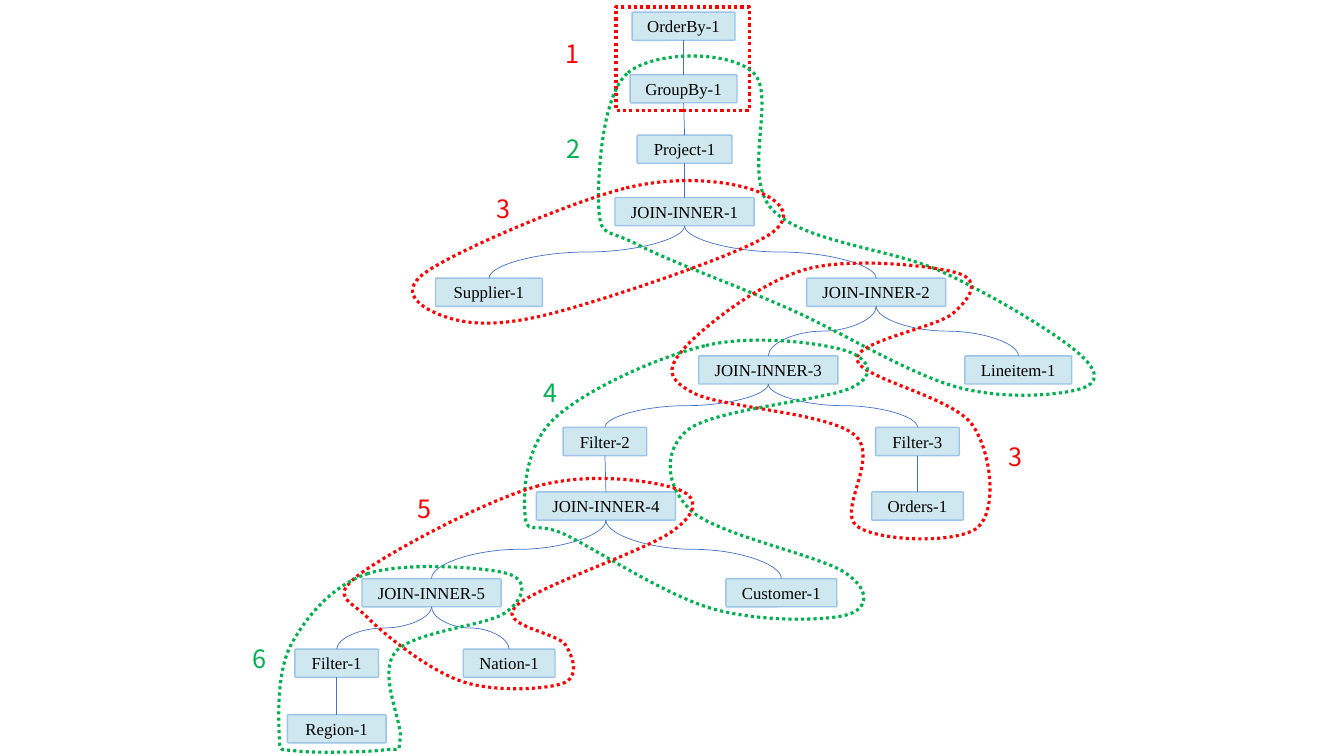
import lxml.etree
import pptx
import pptx.dml.color
import pptx.enum.dml
import pptx.enum.shapes
import pptx.enum.text
import pptx.oxml.ns
import pptx.util

COLORS = {"node": "CFE8EF", "border": "9DC3E6", "link": "4472C4",
          "red": "FF0000", "green": "00B050", "text": "000000"}
NODE_FONT, NUMBER_FONT = "Times New Roman", "Noto Sans CJK SC"

# All positions are columns and rows of a grid laid over the slide.
ROWS = 750
NODE_ROWS = 28

# top row of each tree level: centre column of its nodes
LEVELS = {
    12: {"OrderBy-1": 678},
    74: {"GroupBy-1": 678},
    134: {"Project-1": 679},
    196: {"JOIN-INNER-1": 679},
    276: {"Supplier-1": 485, "JOIN-INNER-2": 869},
    353: {"JOIN-INNER-3": 762, "Lineitem-1": 1010},
    424: {"Filter-2": 600, "Filter-3": 910},
    488: {"JOIN-INNER-4": 601, "Orders-1": 910},
    574: {"JOIN-INNER-5": 428, "Customer-1": 775},
    644: {"Filter-1": 334, "Nation-1": 505},
    709: {"Region-1": 334},
}

# columns wide, by operator or table
WIDTHS = {"JOIN": 138, "Filter": 83, "Project": 94, "OrderBy": 102, "Orders": 91,
          "Nation": 91, "Region": 98, "Customer": 110}
USUAL_WIDTH = 106

# parent: children; a single child hangs on a straight line
TREE = {
    "OrderBy-1": ["GroupBy-1"],
    "GroupBy-1": ["Project-1"],
    "Project-1": ["JOIN-INNER-1"],
    "JOIN-INNER-1": ["Supplier-1", "JOIN-INNER-2"],
    "JOIN-INNER-2": ["JOIN-INNER-3", "Lineitem-1"],
    "JOIN-INNER-3": ["Filter-2", "Filter-3"],
    "Filter-2": ["JOIN-INNER-4"],
    "Filter-3": ["Orders-1"],
    "JOIN-INNER-4": ["JOIN-INNER-5", "Customer-1"],
    "JOIN-INNER-5": ["Filter-1", "Nation-1"],
    "Filter-1": ["Region-1"],
}

SORT_STAGE = (611, 7, 132, 103)

# colour and the points that each smooth closed outline runs through
STAGE_OUTLINES = [
    ("green", [(622, 73), (594, 208), (633, 243), (784, 307), (949, 384),
               (1071, 386), (1068, 349), (935, 270), (766, 208), (747, 72)]),
    ("red", [(619, 187), (421, 271), (444, 315), (547, 311), (761, 234), (746, 188)]),
    ("red", [(800, 267), (680, 344), (688, 390), (847, 431), (850, 522),
             (970, 523), (964, 421), (850, 357), (945, 311), (950, 271)]),
    ("green", [(699, 343), (549, 416), (521, 513), (562, 531), (707, 604), (840, 610),
               (838, 568), (686, 507), (683, 426), (846, 384), (836, 347)]),
    ("red", [(534, 482), (355, 571), (365, 613), (458, 676), (558, 678),
             (561, 640), (511, 602), (667, 527), (671, 485)]),
    ("green", [(365, 569), (289, 639), (277, 730), (294, 745), (381, 744),
               (397, 732), (392, 647), (501, 608), (503, 569)]),
]

# number, colour, left column, top row
STAGE_NUMBERS = [
    ("1", "red", 551, 33), ("2", "green", 552, 127), ("3", "red", 483, 187),
    ("3", "red", 990, 433), ("4", "green", 529, 369), ("5", "red", 404, 484),
    ("6", "green", 241, 633),
]

presentation = pptx.Presentation()
presentation.slide_width = pptx.util.Inches(13.33)
presentation.slide_height = pptx.util.Inches(7.5)
slide = presentation.slides.add_slide(presentation.slide_layouts[6])
shapes = slide.shapes
CELL = presentation.slide_height // ROWS
qn = pptx.oxml.ns.qn


def grid(*cells):
    return [round(cell * CELL) for cell in cells]


def color(name):
    return pptx.dml.color.RGBColor.from_string(COLORS[name])


def style_line(line, name, points):
    line.color.rgb = color(name)
    line.width = pptx.util.Pt(points)


def style_stage(shape, name):
    shape.shadow.inherit = False
    shape.fill.background()
    style_line(shape.line, name, 2.25)
    shape.line.dash_style = pptx.enum.dml.MSO_LINE.ROUND_DOT


def add_run(paragraph, text, font_name, size, name):
    run = paragraph.add_run()
    run.text = text
    run.font.name = font_name
    run.font.size = pptx.util.Pt(size)
    run.font.color.rgb = color(name)


def add_node(label, center, top):
    width = WIDTHS.get(label.split("-")[0], USUAL_WIDTH)
    node = shapes.add_shape(pptx.enum.shapes.MSO_SHAPE.ROUNDED_RECTANGLE,
                            *grid(center - width / 2, top, width, NODE_ROWS))
    node.adjustments[0] = 0.04
    node.shadow.inherit = False
    node.fill.solid()
    node.fill.fore_color.rgb = color("node")
    style_line(node.line, "border", 1)
    frame = node.text_frame
    frame.margin_left = frame.margin_right = frame.margin_top = frame.margin_bottom = 0
    frame.vertical_anchor = pptx.enum.text.MSO_ANCHOR.MIDDLE
    frame.paragraphs[0].alignment = pptx.enum.text.PP_ALIGN.CENTER
    add_run(frame.paragraphs[0], label, NODE_FONT, 12, "text")
    return node


def add_link(parent, child, kind):
    link = shapes.add_connector(kind, 0, 0, 0, 0)
    link.begin_connect(parent, 2)
    link.end_connect(child, 0)
    style_line(link.line, "link", 0.5)
    lxml.etree.SubElement(link.element.spPr, qn("a:effectLst"))
    return link


def turn_downwards(link):
    """Rotate a curved link so that it leaves and arrives vertically."""
    across, down = link.end_x - link.begin_x, link.end_y - link.begin_y
    middle_x = (link.begin_x + link.end_x) // 2
    middle_y = (link.begin_y + link.end_y) // 2
    frame = link.element.spPr.find(qn("a:xfrm"))
    frame.attrib.clear()
    frame.set("rot", "5400000" if across < 0 else "16200000")
    if across > 0:
        frame.set("flipH", "1")
    link.width, link.height = down, abs(across)
    link.left, link.top = middle_x - down // 2, middle_y - abs(across) // 2


def smooth_curves(points):
    """Give the four Bézier corners of each curve of a closed Catmull-Rom spline."""
    count = len(points)
    for index in range(count):
        before, start, end, after = (points[(index + step) % count] for step in (-1, 0, 1, 2))
        leave = [s + (e - b) / 6 for b, s, e in zip(before, start, end)]
        arrive = [e - (a - s) / 6 for s, e, a in zip(start, end, after)]
        yield start, leave, arrive, end


def curve_point(corners, share):
    rest = 1 - share
    weights = (rest ** 3, 3 * share * rest ** 2, 3 * share ** 2 * rest, share ** 3)
    return grid(*(sum(weight * value for weight, value in zip(weights, axis))
                  for axis in zip(*corners)))


def add_outline(name, points):
    """Size a freeform by steps along its curves, then draw it with Béziers."""
    curves = list(smooth_curves(points))
    builder = shapes.build_freeform(*grid(*points[0]))
    builder.add_line_segments([curve_point(corners, step / 20)
                               for corners in curves for step in range(1, 21)])
    outline = builder.convert_to_shape()
    drawing = next(outline.element.iter(qn("a:path")))
    for part in list(drawing)[1:]:
        drawing.remove(part)
    for corners in curves:
        bezier = lxml.etree.SubElement(drawing, qn("a:cubicBezTo"))
        for corner in corners[1:]:
            x, y = grid(*corner)
            lxml.etree.SubElement(bezier, qn("a:pt"),
                                  x=str(x - outline.left), y=str(y - outline.top))
    lxml.etree.SubElement(drawing, qn("a:close"))
    style_stage(outline, name)


nodes = {label: add_node(label, center, top)
         for top, level in LEVELS.items() for label, center in level.items()}
for parent, children in TREE.items():
    for child in children:
        if len(children) == 1:
            add_link(nodes[parent], nodes[child], pptx.enum.shapes.MSO_CONNECTOR.STRAIGHT)
        else:
            turn_downwards(add_link(nodes[parent], nodes[child],
                                    pptx.enum.shapes.MSO_CONNECTOR.CURVE))

style_stage(shapes.add_shape(pptx.enum.shapes.MSO_SHAPE.RECTANGLE, *grid(*SORT_STAGE)), "red")
for stage in STAGE_OUTLINES:
    add_outline(*stage)

for number, name, left, top in STAGE_NUMBERS:
    box = shapes.add_textbox(*grid(left, top, 42, 40))
    box.text_frame.word_wrap = True
    box.text_frame.auto_size = pptx.enum.text.MSO_AUTO_SIZE.SHAPE_TO_FIT_TEXT
    add_run(box.text_frame.paragraphs[0], number, NUMBER_FONT, 18, name)

presentation.save("out.pptx")
